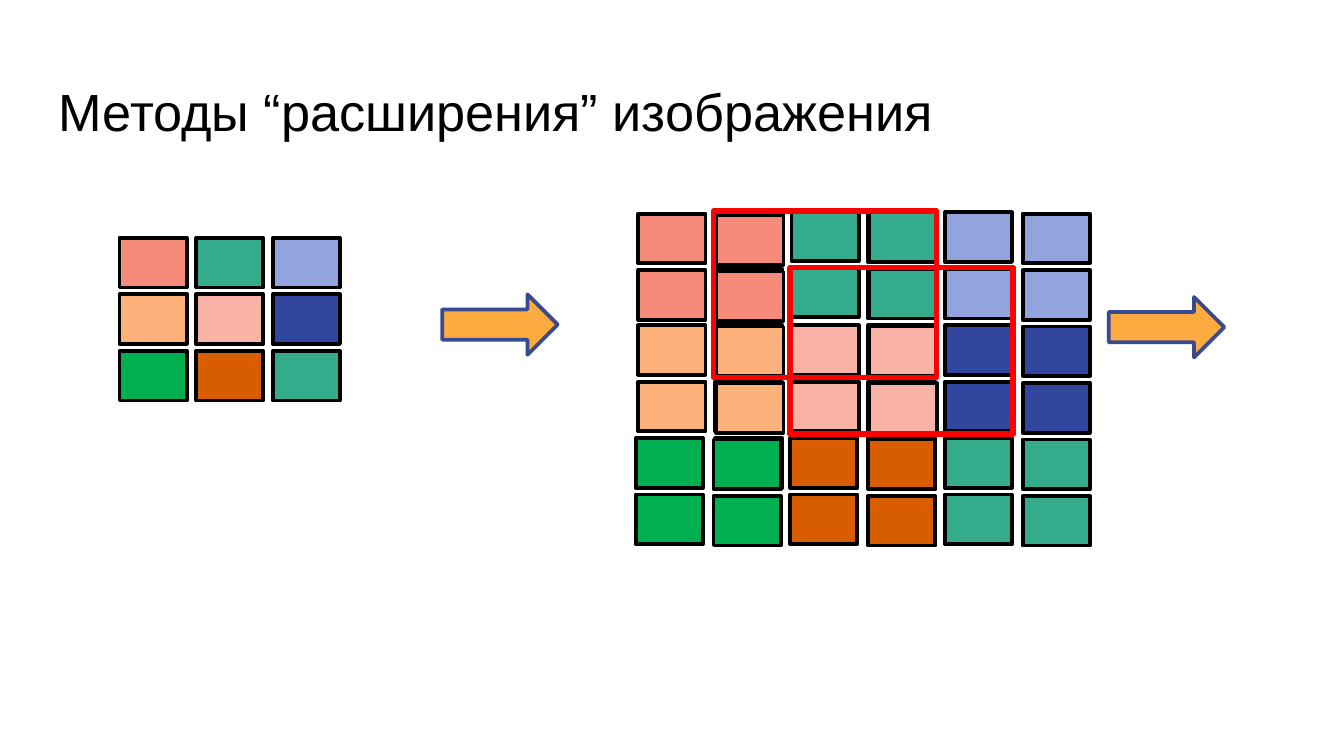
from pptx import Presentation
from pptx.dml.color import RGBColor
from pptx.enum.shapes import MSO_SHAPE
from pptx.util import Pt

PX = 9144  # 100 px to the inch

BLACK = RGBColor(0x00, 0x00, 0x00)
RED = RGBColor(0xFF, 0x00, 0x00)
CORAL = RGBColor(0xF7, 0x8B, 0x79)
TEAL = RGBColor(0x34, 0xAC, 0x8B)
LILAC = RGBColor(0x93, 0xA3, 0xDE)
PEACH = RGBColor(0xFE, 0xB1, 0x79)
PINK = RGBColor(0xF9, 0xB2, 0xA6)
NAVY = RGBColor(0x31, 0x47, 0x9F)
GREEN = RGBColor(0x00, 0xB0, 0x50)
RUST = RGBColor(0xD8, 0x5C, 0x00)
AMBER = RGBColor(0xFF, 0xAB, 0x40)
BLUE = RGBColor(0x38, 0x4B, 0x91)

COLORS = [
    [CORAL, TEAL, LILAC],
    [PEACH, PINK, NAVY],
    [GREEN, RUST, TEAL],
]
CELL = (50, 37)
ROW = 42

prs = Presentation()
prs.slide_width = 1000 * PX
prs.slide_height = prs.slide_width * 9 // 16
slide = prs.slides.add_slide(prs.slide_layouts[6])


def draw(kind, x, y, w, h, fill, line, width=2):
    shape = slide.shapes.add_shape(kind, x * PX, y * PX, w * PX, h * PX)
    shape.shadow.inherit = False
    if fill is None:
        shape.fill.background()
    else:
        shape.fill.solid()
        shape.fill.fore_color.rgb = fill
    shape.line.color.rgb = line
    shape.line.width = Pt(width)


def cell(x, y, fill):
    draw(MSO_SHAPE.RECTANGLE, x, y, *CELL, fill, BLACK)


# Small image
for r, line in enumerate(COLORS):
    for c, color in enumerate(line):
        cell(89 + 57 * c, 177 + ROW * r, color)

# Dark edges behind the repeated columns
for x in (532, 646):
    for r in range(5):
        cell(x, 158 + ROW * r, BLACK)

# Enlarged image: each pixel becomes a 2 x 2 block
for r, line in enumerate(COLORS):
    left, step = (473, 115) if r == 2 else (475, 114)
    for c, color in enumerate(line):
        lift = (1, -1, 0)[c] if r == 0 else 0
        for down in range(2):
            for right in range(2):
                x = left + step * c + 58 * right
                y = 158 + ROW * (2 * r + down) + right + lift
                cell(x, y, color)

# Arrows
for x, y in ((329, 219), (825, 221)):
    draw(MSO_SHAPE.RIGHT_ARROW, x, y, 86, 45, AMBER, BLUE)

# Sliding windows
for x, y in ((588, 199), (531, 157)):
    draw(MSO_SHAPE.RECTANGLE, x, y, 166, 124, None, RED, 3)

# Title
box = slide.shapes.add_textbox(34 * PX, 49 * PX, 932 * PX, 63 * PX)
frame = box.text_frame
pad = 10 * PX
form = {"word_wrap": True, "margin_left": pad, "margin_right": pad,
        "margin_top": pad, "margin_bottom": pad}
for name, value in form.items():
    setattr(frame, name, value)
text = frame.paragraphs[0]
text.text = "Методы “расширения” изображения"
for name, value in {"name": "Arial", "size": Pt(28)}.items():
    setattr(text.font, name, value)
text.font.color.rgb = BLACK

prs.save("out.pptx")
